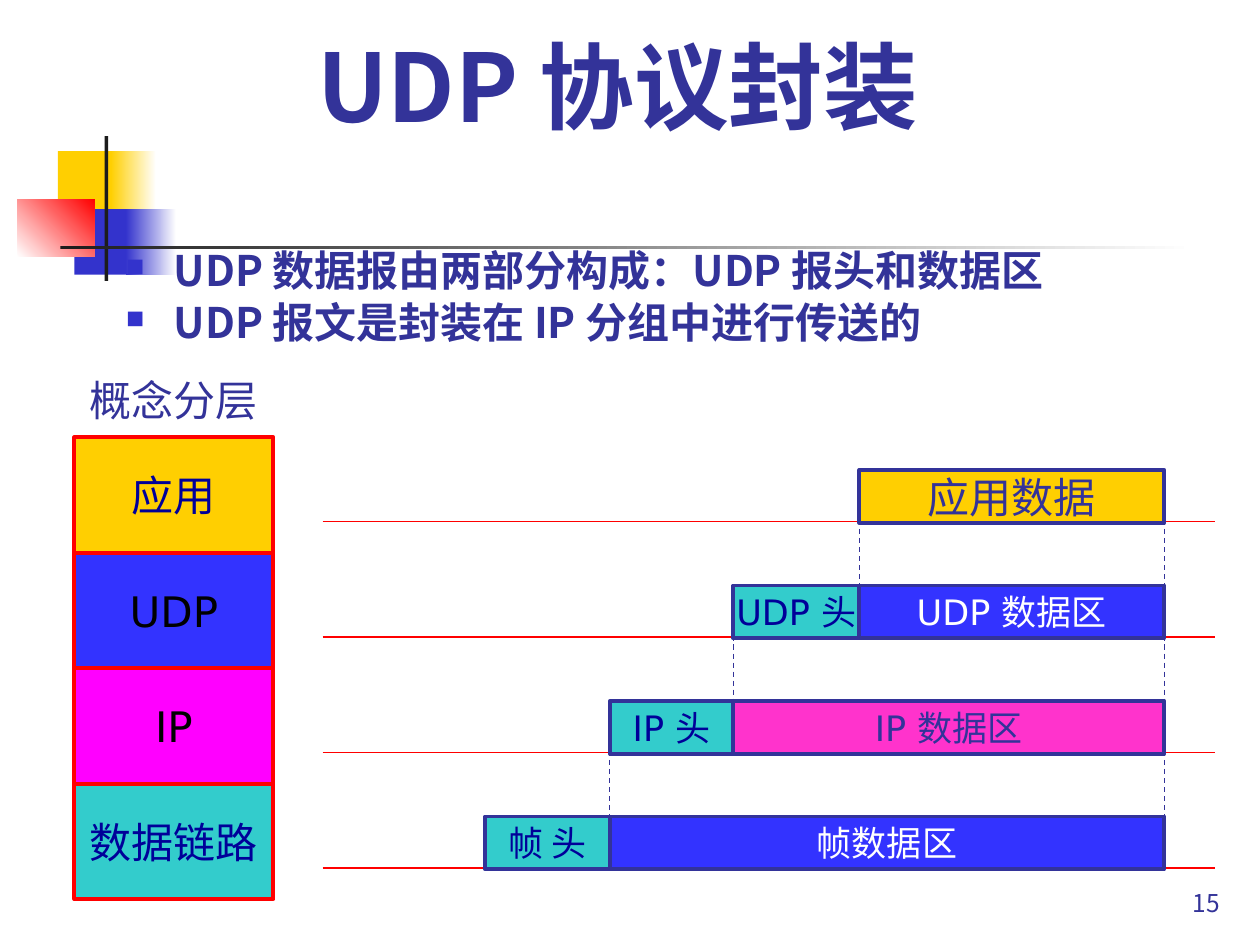
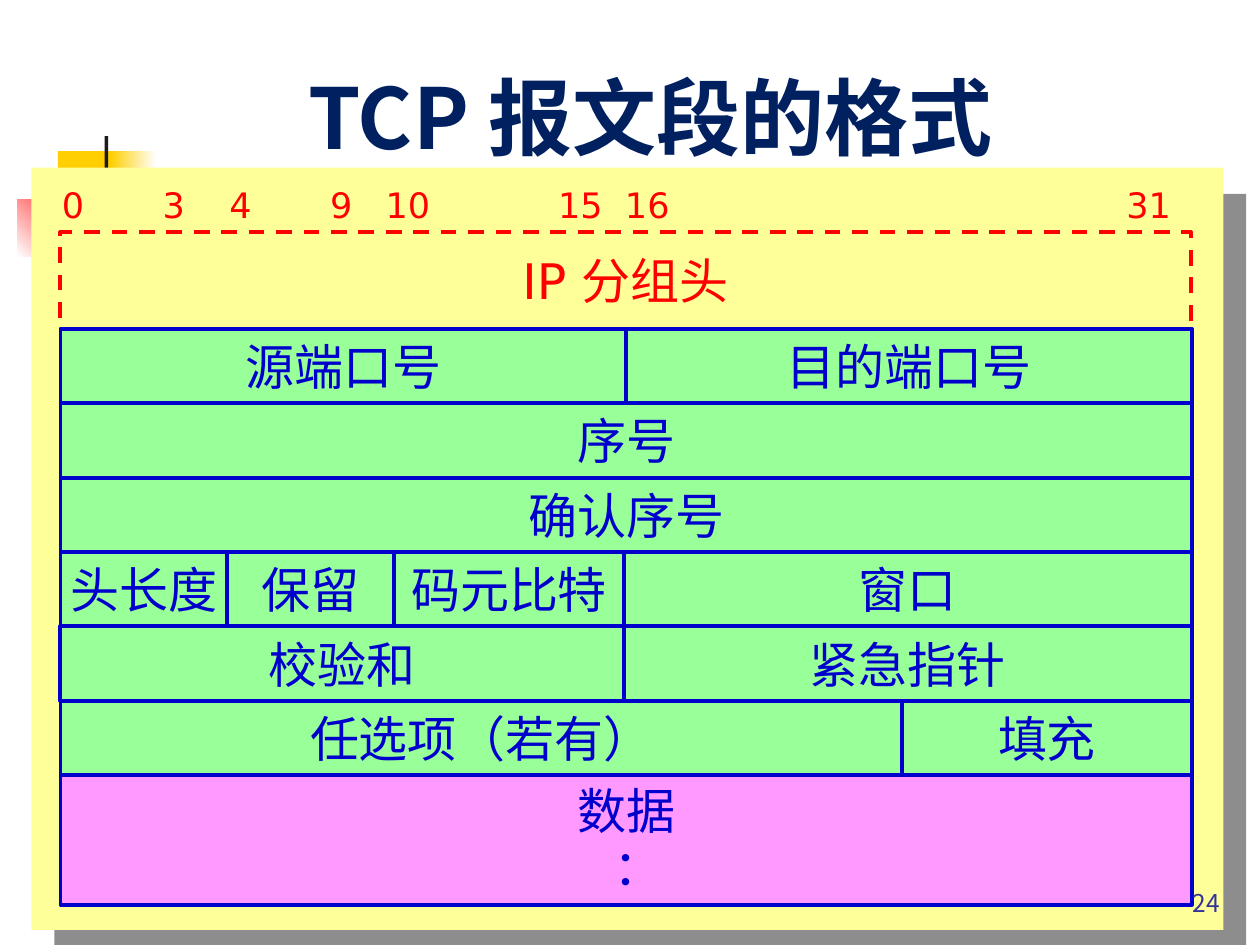
from lxml import etree
from pptx import Presentation
from pptx.dml.color import RGBColor
from pptx.enum.dml import MSO_LINE
from pptx.enum.shapes import MSO_CONNECTOR, MSO_SHAPE
from pptx.enum.text import MSO_ANCHOR, PP_ALIGN
from pptx.oxml.ns import qn
from pptx.util import Inches, Pt

RECTANGLE = MSO_SHAPE.RECTANGLE
STRAIGHT = MSO_CONNECTOR.STRAIGHT
DASH = MSO_LINE.DASH
MIDDLE, BOTTOM = MSO_ANCHOR.MIDDLE, MSO_ANCHOR.BOTTOM
LEFT, CENTER, RIGHT = PP_ALIGN.LEFT, PP_ALIGN.CENTER, PP_ALIGN.RIGHT

WHITE = RGBColor(0xFF, 0xFF, 0xFF)
BLACK = RGBColor(0x00, 0x00, 0x00)
CHARCOAL = RGBColor(0x1C, 0x1C, 0x1C)
GOLD = RGBColor(0xFF, 0xCF, 0x01)
RED = RGBColor(0xFF, 0x00, 0x00)
ACCENT_BLUE = RGBColor(0x33, 0x33, 0xCC)
INDIGO = RGBColor(0x33, 0x33, 0x99)
NAVY = RGBColor(0x00, 0x20, 0x60)
DARK_BLUE = RGBColor(0x00, 0x00, 0x99)
BRIGHT_BLUE = RGBColor(0x33, 0x33, 0xFF)
FIELD_BLUE = RGBColor(0x00, 0x00, 0xCC)
MAGENTA = RGBColor(0xFF, 0x00, 0xFF)
PINK = RGBColor(0xFF, 0x33, 0xCC)
LIGHT_PINK = RGBColor(0xFF, 0x99, 0xFF)
TEAL = RGBColor(0x33, 0xCC, 0xCC)
GREEN = RGBColor(0x99, 0xFF, 0x99)
CREAM = RGBColor(0xFF, 0xFF, 0x99)

HEADING_FONT = "Noto Sans CJK JP"
LABEL_FONT = "DejaVu Sans"
STANDARD_INSETS = (0.1, 0.05, 0.1, 0.05)
NO_INSETS = (0, 0, 0, 0)


def write_text(shape, lines, size, colour, font_name=LABEL_FONT, bold=False,
               align=CENTER, anchor=MIDDLE, insets=NO_INSETS, wrap=False):
    frame = shape.text_frame
    margins = dict(zip(("margin_left", "margin_top", "margin_right", "margin_bottom"),
                       map(Inches, insets)))
    for name, value in {"word_wrap": wrap, "vertical_anchor": anchor, **margins}.items():
        setattr(frame, name, value)
    for index, line in enumerate(lines):
        paragraph = frame.add_paragraph() if index else frame.paragraphs[0]
        paragraph.alignment = align
        run = paragraph.add_run()
        run.text = line
        for name, value in {"size": Pt(size), "bold": bold, "name": font_name}.items():
            setattr(run.font, name, value)
        run.font.color.rgb = colour
        east_asian = etree.SubElement(run.font._element, qn("a:ea"))
        east_asian.set("typeface", HEADING_FONT)
    return frame


def add_drawn(slide, bounds, fill=None, line=None, width=2.25, dash=None, ends=None):
    """Add a rectangle at bounds, or a straight line when ends=(x1, y1, x2, y2)."""
    if ends:
        shape = slide.shapes.add_connector(STRAIGHT, *map(Inches, ends))
        etree.SubElement(shape._element.spPr, qn("a:effectLst"))
    else:
        shape = slide.shapes.add_shape(RECTANGLE, *map(Inches, bounds))
        shape.shadow.inherit = False
        if fill is None:
            shape.fill.background()
        else:
            shape.fill.solid()
            shape.fill.fore_color.rgb = fill
    if line is None:
        shape.line.fill.background()
    else:
        shape.line.color.rgb = line
        shape.line.width = Pt(width)
        if dash:
            shape.line.dash_style = dash
    return shape


presentation = Presentation()
presentation.slide_width = Inches(10)
presentation.slide_height = Inches(7.5)
blank = presentation.slide_layouts[6]

# Corner ornament: bounds, start colour, end colour, angle, also on the TCP slide
ORNAMENT = [
    ((0.46, 1.2, 0.48, 0.52), GOLD, None, 0, True),
    ((0.88, 1.2, 0.36, 0.52), GOLD, WHITE, 0, True),
    ((0.59, 1.66, 0.46, 0.52), ACCENT_BLUE, None, 0, False),
    ((1, 1.66, 0.4, 0.52), ACCENT_BLUE, WHITE, 0, False),
    ((0.14, 1.58, 0.61, 0.46), WHITE, RED, 45, True),
    ((0.83, 1.08, 0.03, 1.15), CHARCOAL, None, 0, True),
    ((0.48, 1.95, 9, 0.03), CHARCOAL, WHITE, 0, False),
]
TITLES = [
    ("UDP 协议封装", (0.73, 0.2, 8.34, 0.92), 54, INDIGO),
    ("TCP 报文段的格式", (0.9, 0.36, 8.52, 0.96), 48, NAVY),
]
slides = []
for number, (title, bounds, size, colour) in enumerate(TITLES):
    slide = presentation.slides.add_slide(blank)
    slides.append(slide)
    for place, start, end, angle, on_both in ORNAMENT:
        if number and not on_both:
            continue
        shape = add_drawn(slide, place, start)
        if end is not None:
            shape.fill.gradient()
            shape.fill.gradient_angle = angle
            for stop, stop_colour, position in zip(shape.fill.gradient_stops,
                                                   (start, end), (0, 1)):
                stop.color.rgb = stop_colour
                stop.position = position
    box = slide.shapes.add_textbox(*map(Inches, bounds))
    write_text(box, [title], size, colour, HEADING_FONT, bold=True,
               anchor=BOTTOM, insets=(0.1, 0.05, 0.1, 0), wrap=True)
udp_slide, tcp_slide = slides

# UDP encapsulation: bullets
body = udp_slide.shapes.add_textbox(Inches(0.9), Inches(1.94), Inches(8.5), Inches(1.03))
frame = write_text(body, ["UDP 数据报由两部分构成：UDP 报头和数据区", "UDP 报文是封装在 IP 分组中进行传送的"],
                   24, INDIGO, HEADING_FONT, bold=True, align=LEFT,
                   anchor=MSO_ANCHOR.TOP, insets=STANDARD_INSETS, wrap=True)
for index, paragraph in enumerate(frame.paragraphs):
    paragraph.line_spacing = 0.9
    if index:
        paragraph.space_before = Pt(3.5)
    properties = paragraph._p.get_or_add_pPr()
    properties.set("marL", str(Inches(0.38)))
    properties.set("indent", str(-Inches(0.38)))
    bullet_colour = etree.SubElement(properties, qn("a:buClr"))
    etree.SubElement(bullet_colour, qn("a:srgbClr")).set("val", str(ACCENT_BLUE))
    etree.SubElement(properties, qn("a:buSzPct")).set("val", "60000")
    etree.SubElement(properties, qn("a:buChar")).set("char", "■")

# UDP encapsulation: concept layers
PITCH = 2.75 / 3
LAYERS = [("应用", GOLD, DARK_BLUE), ("UDP", BRIGHT_BLUE, BLACK),
          ("IP", MAGENTA, BLACK), ("数据链路", TEAL, DARK_BLUE)]
for index, (label, fill, colour) in enumerate(LAYERS):
    layer = add_drawn(udp_slide, (0.59, 3.47 + index * PITCH, 1.58, PITCH), fill, RED)
    write_text(layer, [label], 24, colour, insets=STANDARD_INSETS)
    baseline = 4.14 + index * PITCH
    add_drawn(udp_slide, None, line=RED, width=0.75, ends=(2.56, baseline, 9.64, baseline))
caption = udp_slide.shapes.add_textbox(Inches(0.59), Inches(2.88), Inches(1.58), Inches(0.58))
write_text(caption, ["概念分层"], 24, INDIGO, insets=STANDARD_INSETS)

# UDP encapsulation: header text, data text, data fill, data colour, size, left edge
DATA_RIGHT = 9.24
UNITS = [
    (None, "应用数据", GOLD, INDIGO, 24, 6.82),
    ("UDP 头", "UDP 数据区", BRIGHT_BLUE, WHITE, 20, 5.82),
    ("IP 头", "IP 数据区", PINK, INDIGO, 20, 4.84),
    ("帧 头", "帧数据区", BRIGHT_BLUE, WHITE, 20, 3.85),
]
data_left = UNITS[0][-1]
for index, (header, data, fill, colour, size, left) in enumerate(UNITS):
    top = 3.73 + index * PITCH
    if header:
        unit = add_drawn(udp_slide, (left, top, data_left - left, 0.42), TEAL, INDIGO)
        write_text(unit, [header], 20, DARK_BLUE)
        for x in (DATA_RIGHT, data_left):
            add_drawn(udp_slide, None, line=INDIGO, width=0.75, dash=DASH,
                      ends=(x, top - 0.52, x, top))
    unit = add_drawn(udp_slide, (data_left, top, DATA_RIGHT - data_left, 0.42), fill, INDIGO)
    write_text(unit, [data], size, colour, insets=STANDARD_INSETS)
    data_left = left

# TCP segment: panel with shadow
panel = add_drawn(tcp_slide, (0.25, 1.33, 9.46, 6.05), CREAM)
effects = panel._element.spPr.find(qn("a:effectLst"))
shadow = etree.SubElement(effects, qn("a:outerShdw"))
for name, value in {"dist": Pt(19.9), "dir": 49 * 60000, "algn": "ctr",
                    "rotWithShape": 0}.items():
    shadow.set(name, str(value))
shadow_colour = etree.SubElement(shadow, qn("a:srgbClr"))
shadow_colour.set("val", str(CHARCOAL))
etree.SubElement(shadow_colour, qn("a:alpha")).set("val", "50000")

# TCP segment: fields, each row as labels with their left edges
FIELD_LEFT, FIELD_RIGHT, ROW_HEIGHT = 0.48, 9.46, 0.59
ip_header = add_drawn(tcp_slide, (FIELD_LEFT, 1.84, 8.97, 0.77), line=RED, dash=DASH)
write_text(ip_header, ["IP 分组头"], 28, RED)
ROWS = [
    [("源端口号", FIELD_LEFT), ("目的端口号", 4.97)],
    [("序号", FIELD_LEFT)],
    [("确认序号", FIELD_LEFT)],
    [("头长度", FIELD_LEFT), ("保留", 1.8), ("码元比特", 3.13), ("窗口", 4.95)],
    [("校验和", FIELD_LEFT), ("紧急指针", 4.95)],
    [("任选项（若有）", FIELD_LEFT), ("填充", 7.16)],
]
for index, row in enumerate(ROWS):
    edges = [left for _, left in row] + [FIELD_RIGHT]
    for (label, left), right in zip(row, edges[1:]):
        field = add_drawn(tcp_slide, (left, 2.61 + index * ROW_HEIGHT, right - left, ROW_HEIGHT),
                          GREEN, FIELD_BLUE)
        write_text(field, [label], 28, FIELD_BLUE)
data_field = add_drawn(tcp_slide, (FIELD_LEFT, 6.15, 8.98, 1.03), LIGHT_PINK, FIELD_BLUE)
write_text(data_field, ["数据", "："], 28, FIELD_BLUE)

# TCP segment: bit ruler
BIT_STOPS = {"3": 0.8, "4": 1.33, "9": 2.13, "10": 2.57, "15": 3.94, "16": 4.47, "31": 8.45}
ruler = tcp_slide.shapes.add_textbox(Inches(0.49), Inches(1.46), Inches(8.99), Inches(0.33))
frame = write_text(ruler, ["\t".join(["0", *BIT_STOPS])], 20, RED, align=LEFT, wrap=True)
tabs = etree.SubElement(frame.paragraphs[0]._p.get_or_add_pPr(), qn("a:tabLst"))
for position in BIT_STOPS.values():
    tab = etree.SubElement(tabs, qn("a:tab"))
    tab.set("pos", str(Inches(position)))
    tab.set("algn", "l")

for slide, page in zip(slides, ("15", "24")):
    box = slide.shapes.add_textbox(Inches(7.7), Inches(6.83), Inches(2.08), Inches(0.5))
    write_text(box, [page], 14, INDIGO, HEADING_FONT, align=RIGHT, anchor=BOTTOM,
               insets=STANDARD_INSETS, wrap=True)

presentation.save("out.pptx")
